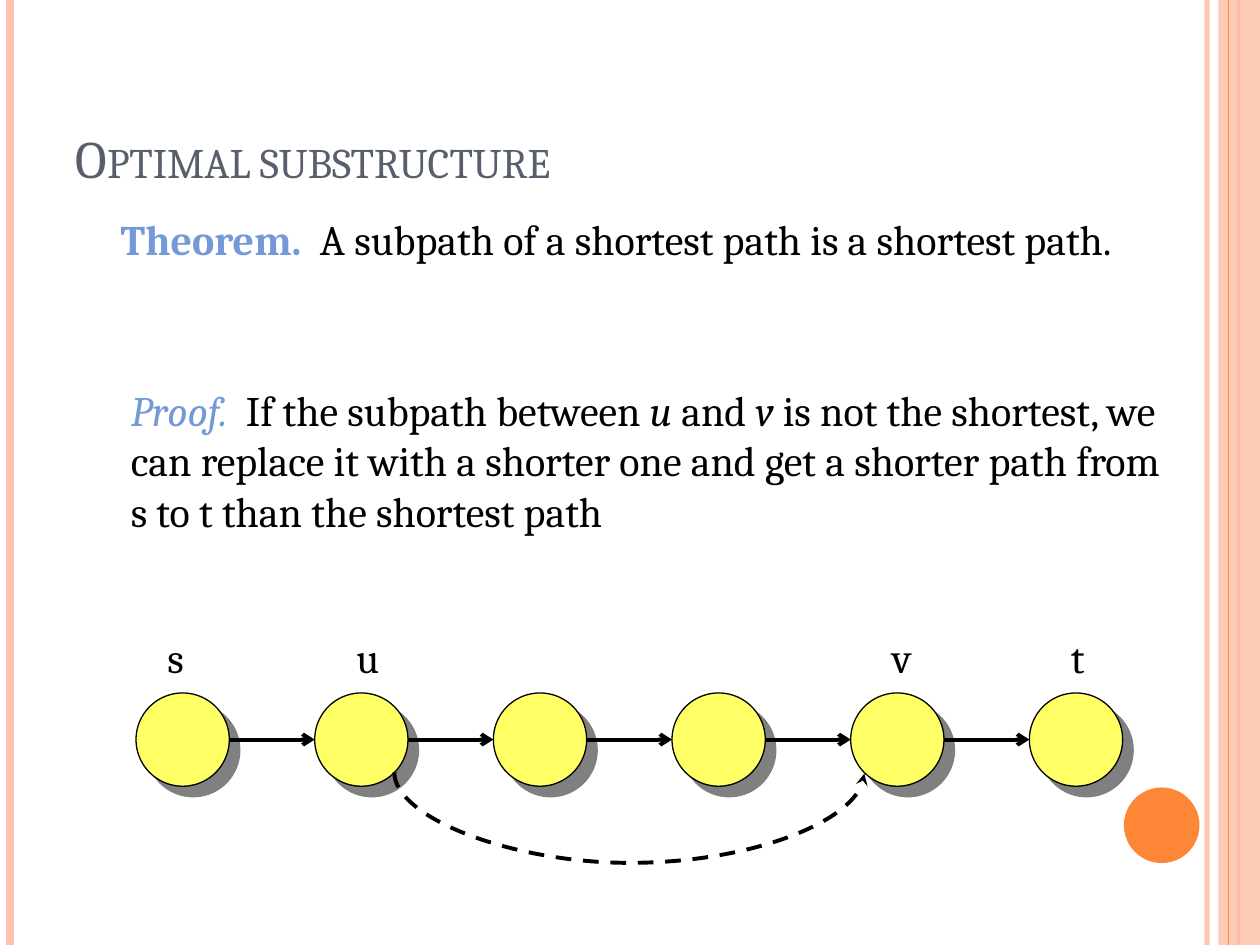
from lxml import etree
from pptx import Presentation
from pptx.dml.color import RGBColor
from pptx.enum.dml import MSO_LINE
from pptx.enum.shapes import MSO_CONNECTOR as LINK, MSO_SHAPE as SHAPE
from pptx.enum.text import MSO_ANCHOR as ANCHOR, PP_ALIGN as ALIGN
from pptx.oxml.ns import qn
from pptx.util import Inches, Pt

COLORS = {"peach": "FEC3AE", "orange": "FE8637", "slate": "575F6D",
          "blue": "7598D9", "black": "000000", "yellow": "FFFF66",
          "gray": "808080"}
FONT = "Cambria"
NODE_COUNT, NODE_SIZE, NODE_TOP = 6, 0.74, 5.5
FIRST_LEFT, LAST_LEFT = 1.08, 8.17
NODE_STEP = (LAST_LEFT - FIRST_LEFT) / (NODE_COUNT - 1)


def rgb(name):
    """Return a named colour."""
    return RGBColor.from_string(COLORS[name])


def add_xml(parent, tag, **attributes):
    """Append a drawing element and return it."""
    return etree.SubElement(parent, qn(tag), attributes)


def set_alpha(fill, percent):
    """Make a solid fill partly transparent."""
    color = fill._xPr.find(qn("a:solidFill"))[0]
    add_xml(color, "a:alpha", val=str(percent * 1000))


def write(para, spans, size=24):
    """Fill a paragraph with (text, formats) spans."""
    for text, formats in spans:
        span = para.add_run()
        span.text = text
        values = {"name": FONT, "size": Pt(size), **formats}
        span.font.color.rgb = rgb(values.pop("color", "black"))
        for key, value in values.items():
            setattr(span.font, key, value)


def add_text(page, at, spans, wrap=True, line_spacing=None):
    """Add a text box with one paragraph."""
    box = page.shapes.add_textbox(*map(Inches, at))
    box.text_frame.word_wrap = wrap
    para = box.text_frame.paragraphs[0]
    para.line_spacing = line_spacing
    write(para, spans)


def add_title(page, text):
    """Place the title in small capitals, bottom left."""
    title = page.shapes.title
    title.left, title.top, title.width, title.height = map(
        Inches, (0.5, 0.3, 8.17, 1.25))
    title.text_frame.vertical_anchor = ANCHOR.BOTTOM
    para = title.text_frame.paragraphs[0]
    para.alignment = ALIGN.LEFT
    write(para, [(text, {"color": "slate"})], size=30)
    para.runs[0].font._element.set("cap", "small")


def add_shape(page, kind, at, color, outlined=False):
    """Add a filled shape with an optional thin black outline."""
    shape = page.shapes.add_shape(kind, *map(Inches, at))
    shape.shadow.inherit = False
    shape.fill.solid()
    shape.fill.fore_color.rgb = rgb(color)
    if outlined:
        shape.line.color.rgb = rgb("black")
        shape.line.width = Pt(0.75)
    else:
        shape.line.fill.background()
    return shape


def add_line(page, start, end, color, width, head=None, kind=LINK.STRAIGHT):
    """Add a connector, with an optional arrowhead at its end."""
    line = page.shapes.add_connector(kind, *map(Inches, (*start, *end)))
    line.line.color.rgb = rgb(color)
    line.line.width = Pt(width)
    if head:
        add_xml(line.line._get_or_add_ln(), "a:tailEnd", type=head)
    add_xml(line._element.spPr, "a:effectLst")
    return line


def add_node(page, left):
    """Add a graph node with a hard gray shadow."""
    node = add_shape(page, SHAPE.OVAL, (left, NODE_TOP, NODE_SIZE, NODE_SIZE),
                     "yellow", outlined=True)
    effects = node._element.spPr.find(qn("a:effectLst"))
    shadow = add_xml(effects, "a:outerShdw", dist=str(Pt(8.5)),
                     dir="2700000", algn="ctr", rotWithShape="0")
    add_xml(shadow, "a:srgbClr", val=COLORS["gray"])


def add_detour(page):
    """Add the dashed curve that bypasses the subpath from u to v."""
    curve = add_line(page, (5, 4.27), (4.99, 8), "black", 2.25, "stealth",
                     LINK.CURVE)
    curve.line.dash_style = MSO_LINE.DASH
    properties = curve._element.spPr
    properties.find(qn("a:xfrm")).set("rot", str(270 * 60000))
    guides = properties.find(qn("a:prstGeom")).find(qn("a:avLst"))
    add_xml(guides, "a:gd", name="adj1", fmla="val 7300000")


def add_frame(page):
    """Draw the side stripes and the orange dot."""
    def stripe(x, color, width):
        return add_line(page, (x, 0), (x, 7.5), color, width)

    set_alpha(stripe(9.58, "peach", 3).line.fill, 93)
    stripe(0.08, "peach", 4.5)
    stripe(9.83, "orange", 1.5)
    band = add_shape(page, SHAPE.RECTANGLE, (9.67, 0, 0.33, 7.5), "peach")
    set_alpha(band.fill, 87)
    stripe(9.75, "orange", 0.75)
    add_shape(page, SHAPE.OVAL, (8.92, 6.25, 0.6, 0.6), "orange")


def add_graph(page):
    """Draw the path of nodes, its arrows and the detour."""
    lefts = [FIRST_LEFT + NODE_STEP * i for i in range(NODE_COUNT)]
    middle = NODE_TOP + NODE_SIZE / 2
    for left in lefts:
        add_node(page, left)
    for left, following in zip(lefts, lefts[1:]):
        add_line(page, (left + NODE_SIZE, middle), (following, middle),
                 "black", 2.25, "arrow")
    add_detour(page)
    for name, left, width in (("s", 1.23, 0.37), ("t", 8.4, 0.29),
                              ("u", 2.73, 0.39), ("v", 6.98, 0.37)):
        add_text(page, (left, 4.96, width, 0.5), [(name, {})], wrap=False)


def main():
    """Build and save the slide."""
    deck = Presentation()
    deck.slide_width, deck.slide_height = Inches(10), Inches(7.5)
    page = deck.slides.add_slide(deck.slide_layouts[5])
    add_frame(page)
    add_title(page, "Optimal substructure")
    add_text(page, (0.86, 1.69, 8.1, 0.83), [
        ("Theorem.", {"color": "blue", "bold": True}),
        ("  A subpath of a shortest path is a shortest path.", {}),
    ], line_spacing=0.9)
    add_text(page, (0.94, 3, 8.43, 1.58), [
        ("Proof.", {"color": "blue", "italic": True}),
        ("  If the subpath between ", {}),
        ("u", {"italic": True}),
        (" and ", {}),
        ("v", {"italic": True}),
        (" is not the shortest, we can replace it with a shorter one and "
         "get a shorter path from s to t than the shortest path", {}),
    ])
    add_graph(page)
    deck.save("out.pptx")


main()
